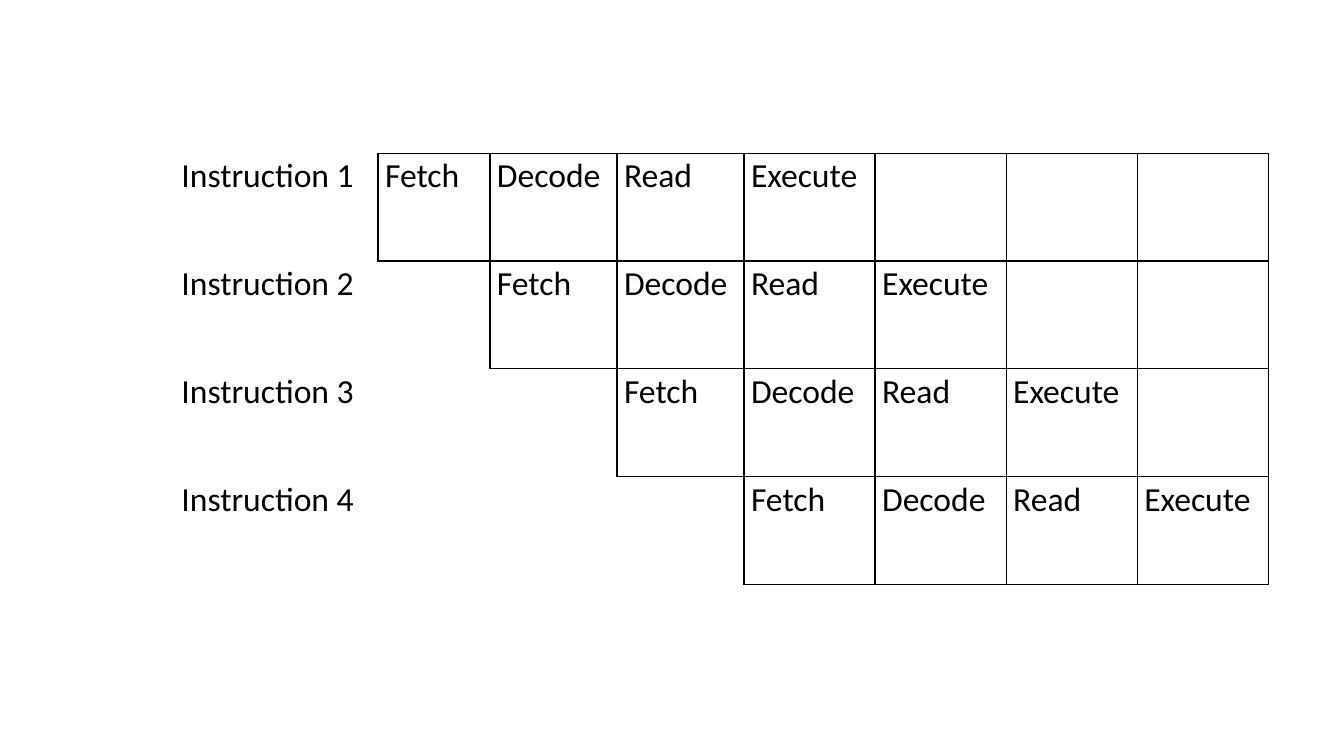
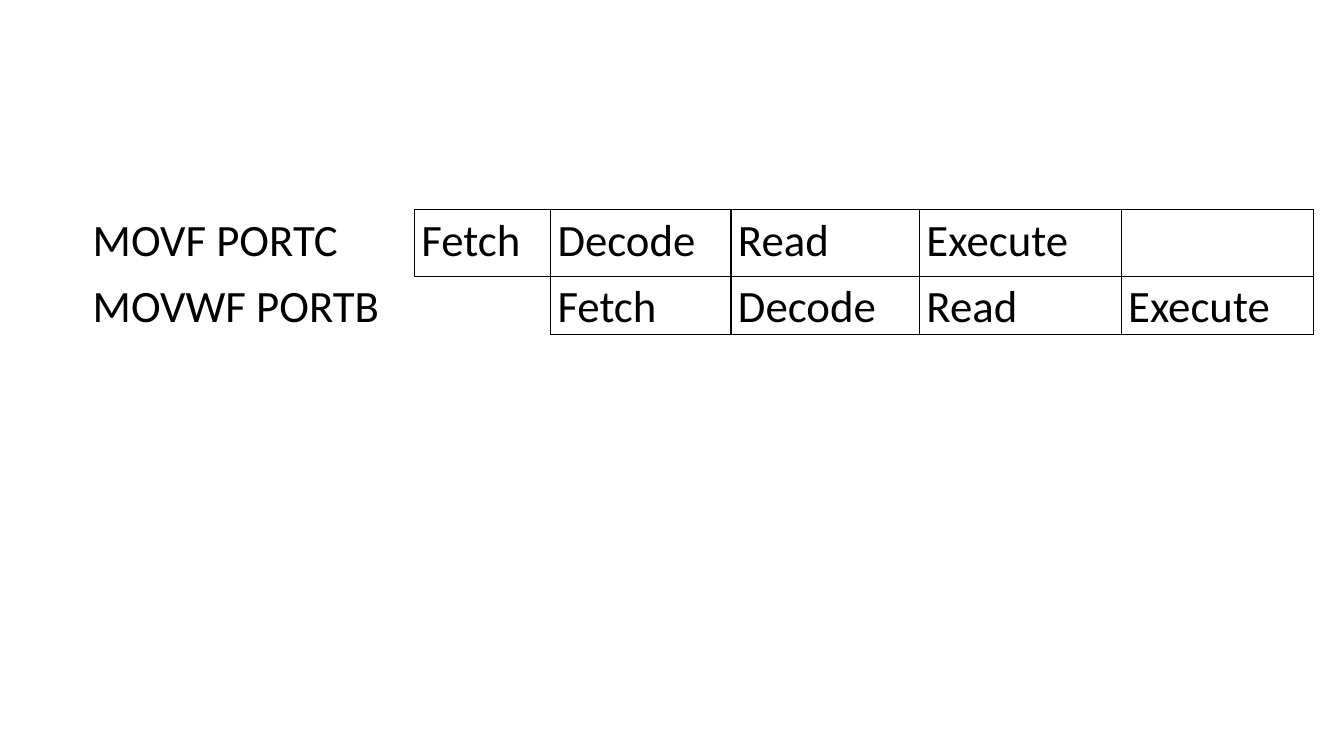
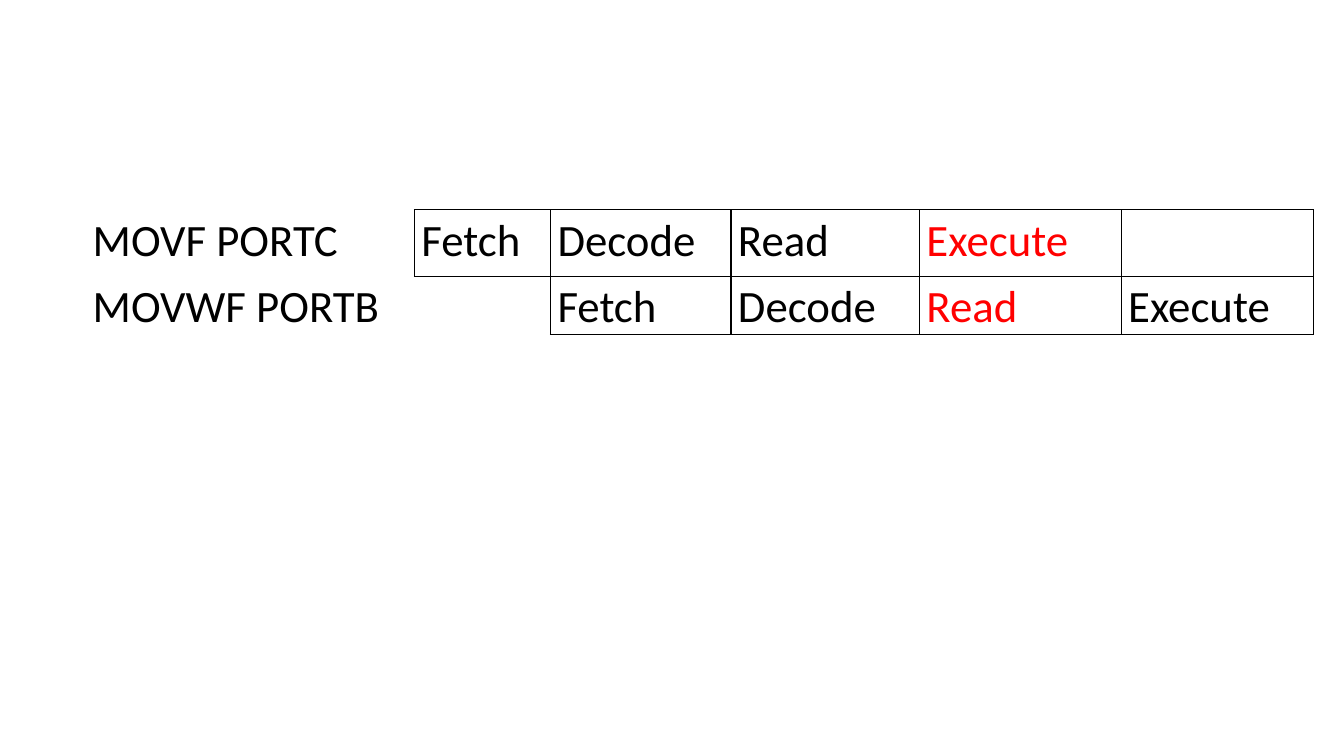
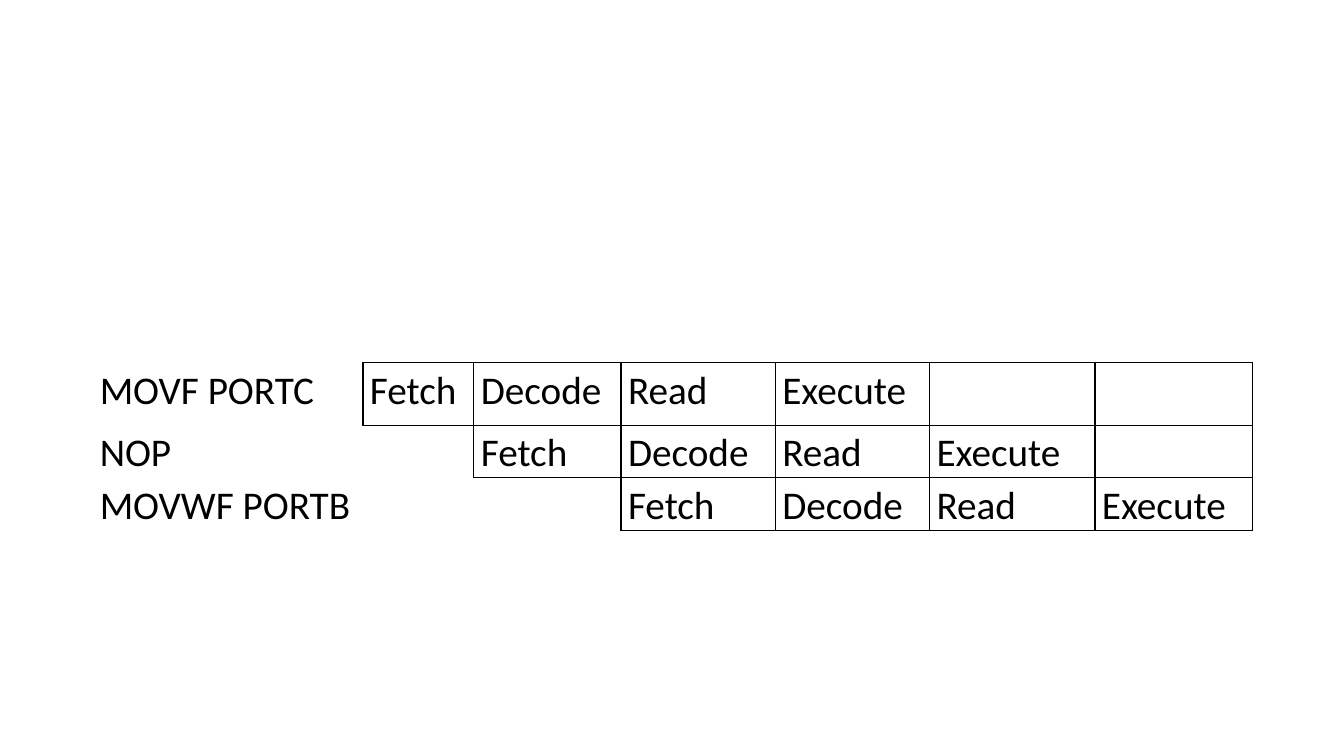
from dataclasses import dataclass

from lxml import etree
from pptx import Presentation
from pptx import util as u
from pptx.dml.color import RGBColor
from pptx.oxml.ns import qn

BLACK = RGBColor(0x00, 0x00, 0x00)
RED = RGBColor(0xFF, 0x00, 0x00)
FONT = "Calibri"
STAGES = ["Fetch", "Decode", "Read", "Execute"]
BORDER = u.Pt(1)
SIDE_MARGIN = u.Inches(0.07)


@dataclass
class Layout:
    """Place of a table, its column widths and row heights in inches, and its text style."""
    left: float
    top: float
    cols: list
    rows: list
    size: int
    before: int = 0
    after: int = 6
    top_margin: float = 0


OVERVIEW = Layout(1.73, 1.52, [2.02, 1.11, 1.26, 1.26] + [1.3] * 4, [1.07] * 4, 24, before=12)
PORT_MOVE = Layout(0.85, 2.08, [3.26, 1.35, 1.79, 1.87, 2, 1.91], [0.66, 0.58], 32, before=6)
WITH_NOP = Layout(0.92, 3.6, [2.68, 1.1, 1.46, 1.53, 1.53, 1.64, 1.56], [0.62, 0.52, 0.52], 28,
                  after=8, top_margin=0.01)


def set_borders(cell, **sides):
    """Draw or hide the L, R, T and B borders; the cell fill must be set before."""
    tcPr = cell._tc.get_or_add_tcPr()
    for i, (side, shown) in enumerate(sides.items()):
        ln = etree.Element(qn(f"a:ln{side}"), w=str(BORDER))
        if shown:
            fill = etree.SubElement(ln, qn("a:solidFill"))
            etree.SubElement(fill, qn("a:srgbClr"), val=str(BLACK))
        else:
            etree.SubElement(ln, qn("a:noFill"))
        tcPr.insert(i, ln)


def write_cell(cell, words, layout, color):
    cell.margin_left = cell.margin_right = SIDE_MARGIN
    cell.margin_top, cell.margin_bottom = u.Inches(layout.top_margin), 0
    p = cell.text_frame.paragraphs[0]
    p.line_spacing = 1.07
    p.space_before, p.space_after = u.Pt(layout.before), u.Pt(layout.after)
    r = p.add_run()
    r.text = words
    r.font.name, r.font.size = FONT, u.Pt(layout.size)
    r.font.color.rgb = color


def add_pipeline(s, layout, instructions, hazard_col=None):
    """Staircase table: each instruction starts one column after the one above it."""
    box = [u.Inches(n) for n in (layout.left, layout.top, sum(layout.cols), sum(layout.rows))]
    tbl = s.shapes.add_table(len(layout.rows), len(layout.cols), *box).table
    tbl.first_row = tbl.horz_banding = False
    for col, width in zip(tbl.columns, layout.cols):
        col.width = u.Inches(width)
    for row, height in zip(tbl.rows, layout.rows):
        row.height = u.Inches(height)

    for i, name in enumerate(instructions):
        words = dict(enumerate(STAGES, start=i + 1))
        words[0] = name
        for j in range(len(layout.cols)):
            cell = tbl.cell(i, j)
            cell.fill.background()
            boxed = j > i
            set_borders(cell, L=boxed, R=j >= i, T=boxed or i == j > 0, B=boxed)
            if j in words:
                write_cell(cell, words[j], layout, RED if j == hazard_col else BLACK)


def main():
    prs = Presentation()
    prs.slide_width, prs.slide_height = u.Inches(13.33), u.Inches(7.5)
    move = ["MOVF PORTC", "MOVWF PORTB"]
    pipelines = [
        (OVERVIEW, [f"Instruction {n}" for n in range(1, 5)], None),
        (PORT_MOVE, move, None),
        (PORT_MOVE, move, 4),
        (WITH_NOP, [move[0], "NOP", move[1]], None),
    ]
    for layout, instructions, hazard_col in pipelines:
        s = prs.slides.add_slide(prs.slide_layouts[6])
        add_pipeline(s, layout, instructions, hazard_col)
    prs.save("out.pptx")


if __name__ == "__main__":
    main()
